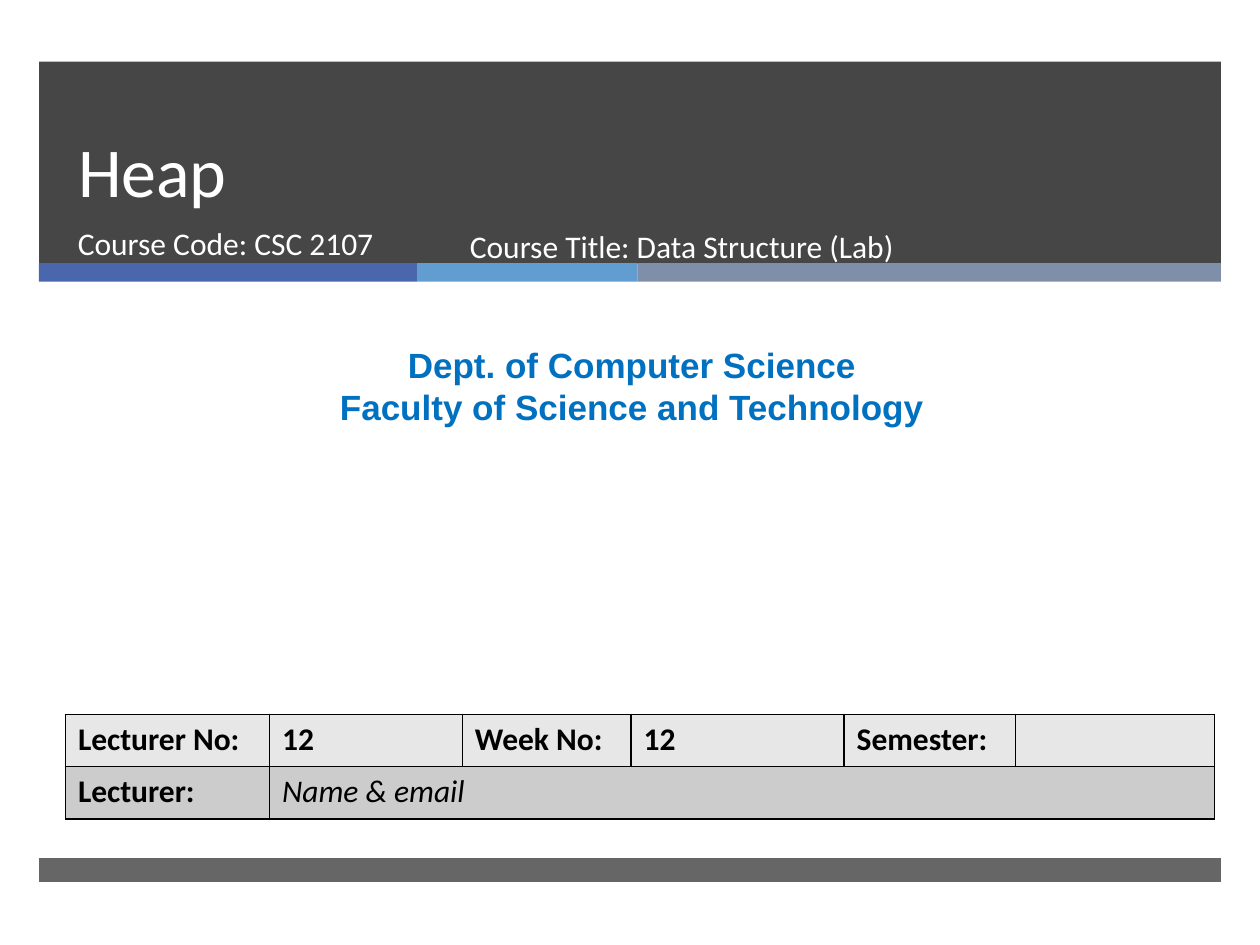
from dataclasses import dataclass

from lxml import etree
from pptx import Presentation
from pptx import util as u
from pptx.dml import color
from pptx.enum import shapes, text
from pptx.oxml import ns


@dataclass(frozen=True)
class Theme:
    font: str = "Calibri"
    heading_font: str = "Arial"
    title_size: int = 40
    heading_size: int = 20
    body_size: int = 18
    dark: str = "262626"
    white: str = "FFFFFF"
    black: str = "000000"
    heading: str = "0070C0"
    accents: tuple = ("4A66AC", "629DD1", "7F8FA9")
    rows: tuple = ("E7E7E7", "CCCCCC")


THEME = Theme()
LEFT, WIDTH = 22.3, 675.4


def rgb(value):
    return color.RGBColor.from_string(value)


def frame(left, top, width, height):
    return [u.Pt(value) for value in (left, top, width, height)]


def write(text_frame, *lines, size=THEME.body_size, font=THEME.font, ink=THEME.white,
          bold=False, italic=False, align=text.PP_ALIGN.LEFT, spacing=None):
    for index, line in enumerate(lines):
        para = text_frame.paragraphs[0] if index == 0 else text_frame.add_paragraph()
        para.alignment = align
        if spacing:
            para.line_spacing = u.Pt(spacing)
        span = para.add_run()
        span.text = line
        span.font.size = u.Pt(size)
        span.font.name = font
        span.font.bold = bold
        span.font.italic = italic
        span.font.color.rgb = rgb(ink)


def add_band(page, left, top, width, height, fill, opacity=100):
    band = page.shapes.add_shape(shapes.MSO_SHAPE.RECTANGLE, *frame(left, top, width, height))
    band.shadow.inherit = False
    band.fill.solid()
    band.fill.fore_color.rgb = rgb(fill)
    band.line.fill.background()
    if opacity < 100:
        tint = band.element.spPr.find(".//" + ns.qn("a:srgbClr"))
        etree.SubElement(tint, ns.qn("a:alpha"), val=str(opacity * 1000))


def add_text(page, left, top, width, height, *lines, **style):
    box = page.shapes.add_textbox(*frame(left, top, width, height))
    box.text_frame.word_wrap = True
    write(box.text_frame, *lines, **style)


def set_title(page, line):
    title = page.shapes.title
    title.left, title.top, title.width, title.height = frame(37.4, 38.9, 614.9, 85.7)
    title.text_frame.auto_size = text.MSO_AUTO_SIZE.NONE
    title.text_frame.vertical_anchor = text.MSO_ANCHOR.BOTTOM
    write(title.text_frame, line, size=THEME.title_size, spacing=46)
    title.element.getparent().append(title.element)


def style_cell(cell, fill):
    properties = cell._tc.get_or_add_tcPr()
    for side in ("lnL", "lnR", "lnT", "lnB"):
        edge = etree.SubElement(properties, ns.qn("a:" + side), w=str(u.Pt(1)))
        paint = etree.SubElement(edge, ns.qn("a:solidFill"))
        etree.SubElement(paint, ns.qn("a:srgbClr"), val=THEME.black)
    cell.fill.solid()
    cell.fill.fore_color.rgb = rgb(fill)


def add_lecture_table(page):
    rows = (("Lecturer No:", "12", "Week No:", "12", "Semester:", ""),
            ("Lecturer:", "Name & email", "", "", "", ""))
    widths = (116.6, 110.2, 96.5, 121.7, 97.9, 113.8)
    height = 29.9
    table = page.shapes.add_table(
        len(rows), len(widths), *frame(37.4, 408.2, sum(widths), height * len(rows))).table
    for column, width in zip(table.columns, widths):
        column.width = u.Pt(width)
    for row_index, (row, fill) in enumerate(zip(rows, THEME.rows)):
        table.rows[row_index].height = u.Pt(height)
        for column_index, line in enumerate(row):
            cell = table.cell(row_index, column_index)
            style_cell(cell, fill)
            if line:
                named = line == "Name & email"
                write(cell.text_frame, line, ink=THEME.black, bold=not named, italic=named)
    table.cell(1, 1).merge(table.cell(1, 5))


def main():
    deck = Presentation()
    deck.slide_width, deck.slide_height = u.Pt(720), u.Pt(540)
    page = deck.slides.add_slide(deck.slide_layouts[5])

    add_band(page, LEFT, 35.2, WIDTH, 115.6, THEME.dark, opacity=85)
    left = LEFT
    for width, fill in zip((216, 126, WIDTH - 342), THEME.accents):
        add_band(page, left, 150.4, width, 10.6, fill)
        left += width
    add_band(page, LEFT, 490.3, WIDTH, 13.7, THEME.dark, opacity=70)

    set_title(page, "Heap")
    add_text(page, 37.4, 124.6, 219.6, 38.2, "Course Code: CSC 2107")
    add_text(page, 5.8, 193, 710.6, 55.4, "Dept. of Computer Science",
             "Faculty of Science and Technology", size=THEME.heading_size,
             font=THEME.heading_font, ink=THEME.heading, bold=True,
             align=text.PP_ALIGN.CENTER)
    add_lecture_table(page)
    add_text(page, 261.4, 126, 327.6, 38.2, "Course Title: Data Structure (Lab)")
    deck.save("out.pptx")


if __name__ == "__main__":
    main()
